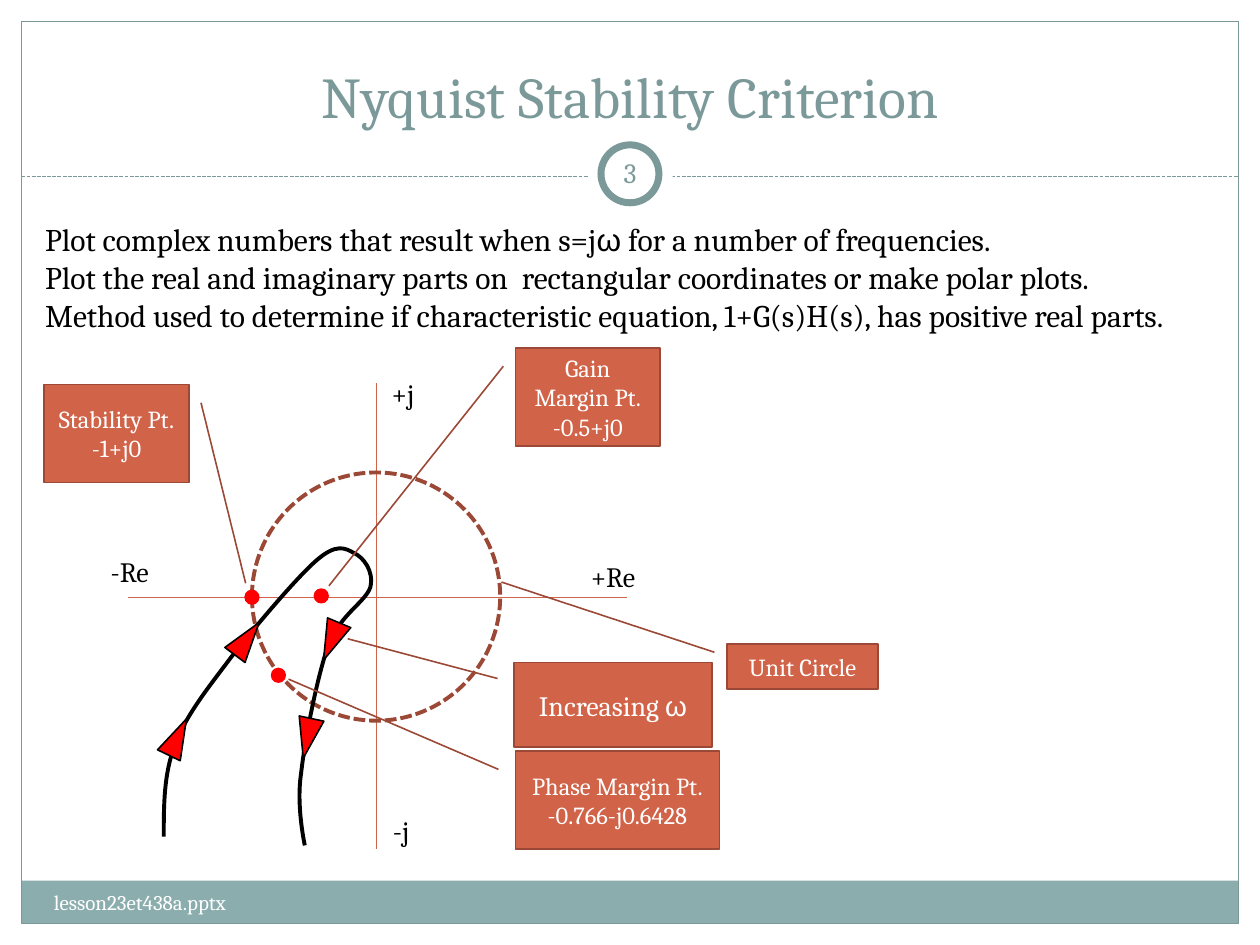
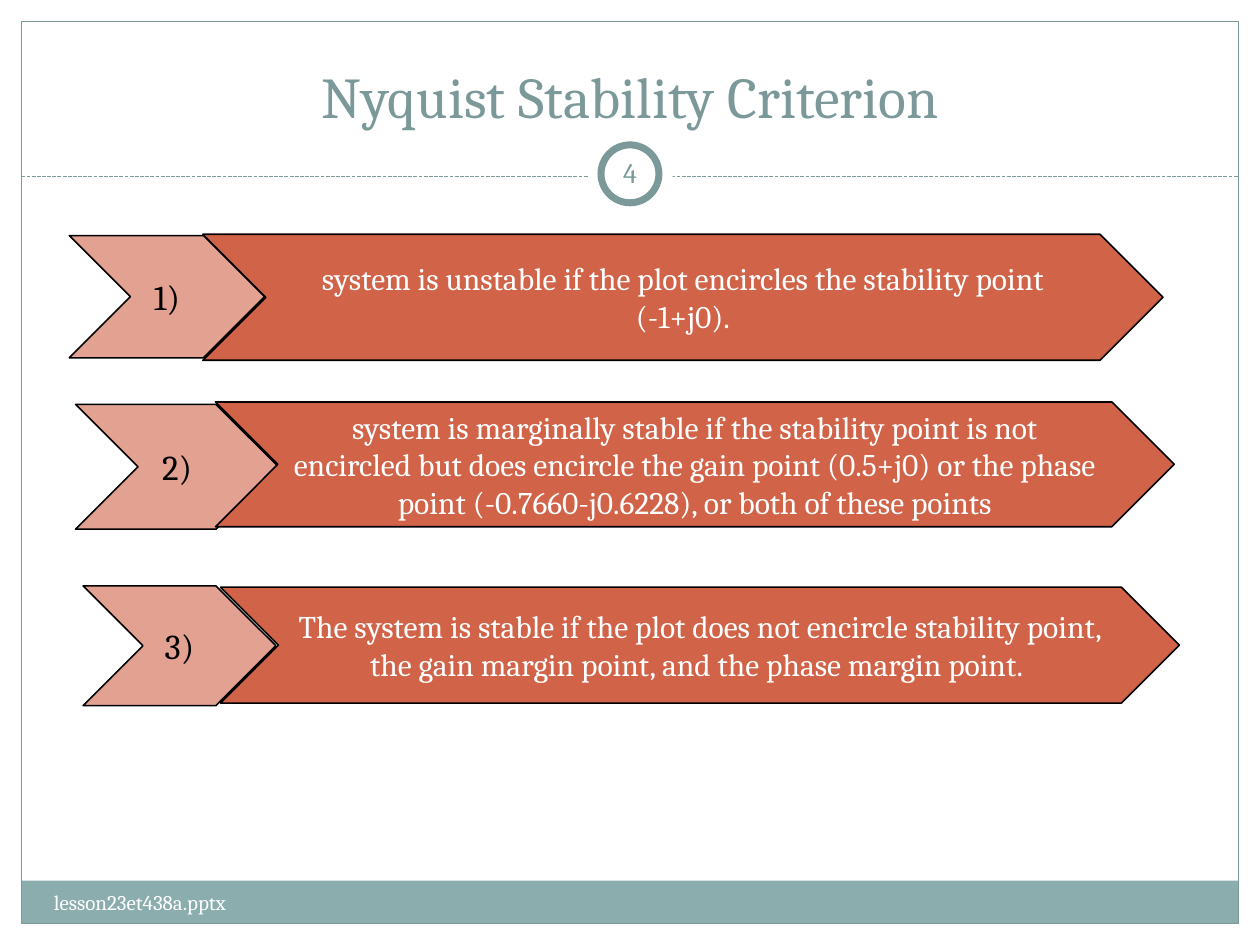
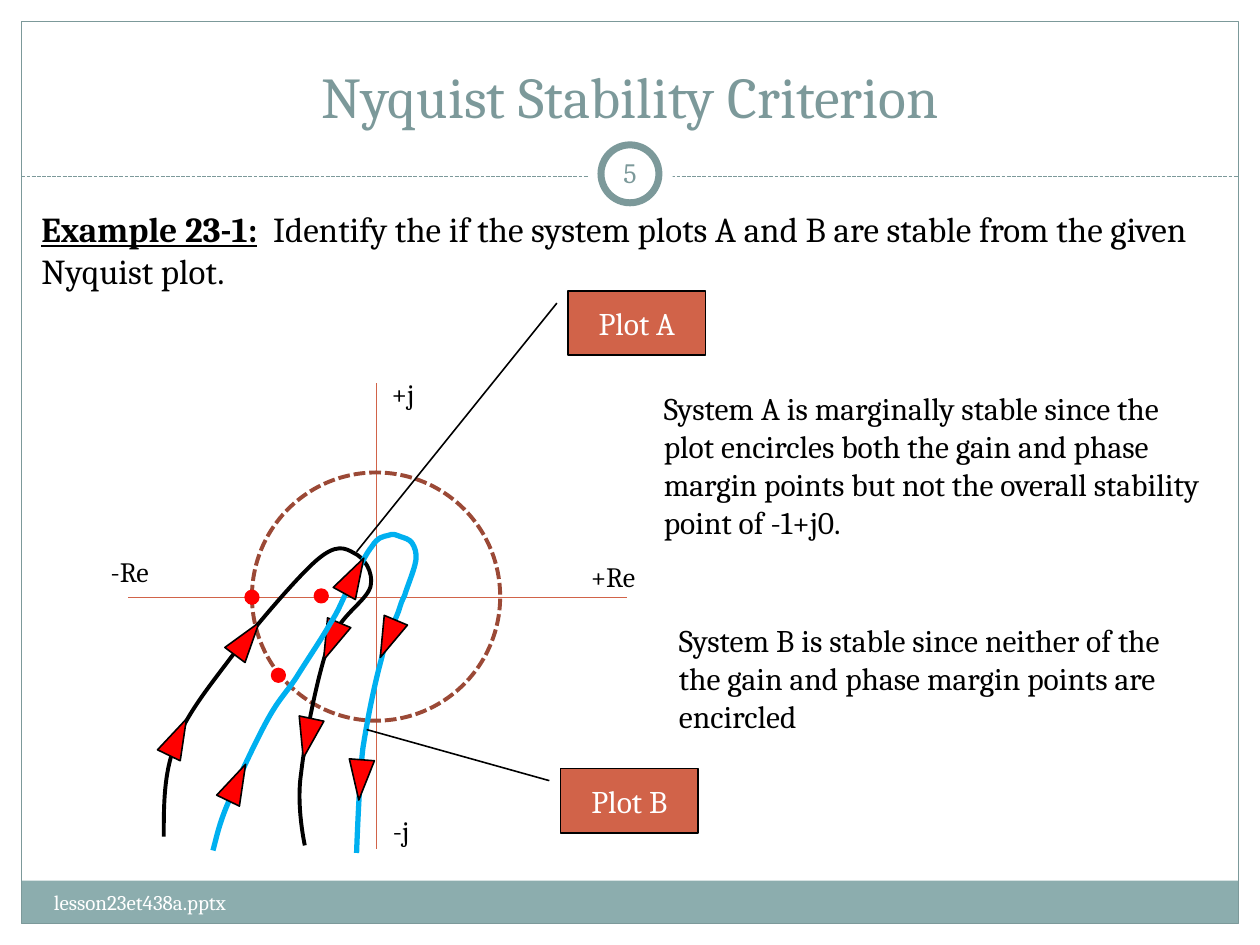
from dataclasses import dataclass

from lxml import etree
from pptx import Presentation
from pptx import util as u
from pptx.dml.color import RGBColor
from pptx.enum import dml, shapes, text
from pptx.oxml.ns import qn

PX = 9144  # 100 px to the inch
KIND = shapes.MSO_SHAPE
ALIGN = text.PP_ALIGN
ANCHOR = text.MSO_ANCHOR
DASH = dml.MSO_LINE.SQUARE_DOT


@dataclass(frozen=True)
class Theme:
    font: str = "Cambria"
    greek: str = "Arial"
    white: str = "FFFFFF"
    black: str = "000000"
    teal: str = "7C999A"
    band: str = "8CADAE"
    rust: str = "D16349"
    pale_rust: str = "E3A192"
    dark_rust: str = "9B4936"
    red: str = "FF0000"
    blue: str = "00B0F0"
    title: int = 33
    lead: int = 20
    body: int = 18
    label: int = 16
    note: int = 14
    footer: int = 12


T = Theme()


def draw(on, kind, box, fill=None, line=None, width=0.9, dash=None):
    """Add a preset shape, "text", "line" (two ends) or "curve" (Bezier points)."""
    if kind == "curve":
        outline = on.build_freeform(*box[0], scale=PX)
        outline.add_line_segments(box[1:], close=False)
        shape = outline.convert_to_shape()
        segments = shape.element.xpath(".//a:lnTo")
        for i in range(0, len(segments), 3):
            bend = etree.Element(qn("a:cubicBezTo"))
            segments[i].addprevious(bend)
            for segment in segments[i:i + 3]:
                bend.append(segment[0])
                segment.getparent().remove(segment)
    else:
        box = [v * PX for v in box]
        if kind == "text":
            return on.add_textbox(*box)
        if kind == "line":
            shape = on.add_connector(shapes.MSO_CONNECTOR.STRAIGHT, *box)
        else:
            shape = on.add_shape(kind, *box)
    if line:
        shape.line.color.rgb = RGBColor.from_string(line)
        shape.line.width = u.Pt(width)
        if dash:
            shape.line.dash_style = dash
    else:
        shape.line.fill.background()
    if kind == "line":
        etree.SubElement(shape.element.spPr, qn("a:effectLst"))
        return shape
    shape.shadow.inherit = False
    if fill:
        shape.fill.solid()
        shape.fill.fore_color.rgb = RGBColor.from_string(fill)
    else:
        shape.fill.background()
    return shape


def write(shape, paragraphs, size, color, align=ALIGN.LEFT, **frame_format):
    """Fill a shape; a paragraph is a string or a list of (text, font format) runs."""
    frame = shape.text_frame
    for name, value in {"word_wrap": True, **frame_format}.items():
        setattr(frame, name, value)
    for i, runs in enumerate(paragraphs):
        paragraph = frame.add_paragraph() if i else frame.paragraphs[0]
        paragraph.alignment = align
        for words, extra in [(runs, {})] if isinstance(runs, str) else runs:
            run = paragraph.add_run()
            run.text = words
            run.font.color.rgb = RGBColor.from_string(color)
            for name, value in {"name": T.font, "size": u.Pt(size), **extra}.items():
                setattr(run.font, name, value)


OMEGA = ("ω", {"name": T.greek})
CENTRED = {"align": ALIGN.CENTER, "vertical_anchor": ANCHOR.MIDDLE}
GROW = {"auto_size": text.MSO_AUTO_SIZE.SHAPE_TO_FIT_TEXT}

prs = Presentation()
prs.slide_width, prs.slide_height = 1000 * PX, 750 * PX
layout = prs.slide_layouts[5]
criterion, rules, example = lesson = [prs.slides.add_slide(layout) for _ in range(3)]

# Shared backdrop, drawn once and moved to the layout
backdrop = [
    (KIND.RECTANGLE, (0, 0, 1000, 152), {"fill": T.white}),
    (KIND.RECTANGLE, (0, 0, 17, 750), {"fill": T.white}),
    (KIND.RECTANGLE, (983, 0, 17, 750), {"fill": T.white}),
    (KIND.RECTANGLE, (17, 699, 966, 34), {"fill": T.band}),
    (KIND.RECTANGLE, (17, 17, 966, 716), {"line": T.teal, "width": 0.75}),
    ("line", (17, 140, 983, 140), {"line": T.teal, "width": 0.75, "dash": DASH}),
    (KIND.OVAL, (467, 105, 67, 67), {"fill": T.white}),
    (KIND.OVAL, (477, 115, 46, 46), {"fill": T.white, "line": T.teal, "width": 4}),
]
for part_id, (kind, box, look) in enumerate(backdrop, 100):
    part = draw(criterion.shapes, kind, box, **look).element
    part.xpath(".//p:cNvPr")[0].set("id", str(part_id))
    layout.shapes.element.append(part)

for page, slide in enumerate(lesson, 3):
    heading = slide.shapes.title
    for name, value in zip(("left", "top", "width", "height"), (33, 25, 934, 83)):
        setattr(heading, name, value * PX)
    write(heading, ["Nyquist Stability Criterion"], T.title, T.teal, ALIGN.CENTER,
          vertical_anchor=ANCHOR.BOTTOM)
    write(draw(slide.shapes, "text", (33, 701, 392, 40)), ["lesson23et438a.pptx"],
          T.footer, T.white)
    margins = {f"margin_{side}": 5 * PX for side in ("left", "top", "right", "bottom")}
    write(draw(slide.shapes, "text", (475, 113, 50, 48)), [str(page)],
          T.label, T.teal, **CENTRED, **margins)

# Introductions
write(draw(criterion.shapes, "text", (26, 170, 935, 131)), [
    [("Plot complex numbers that result when s=j", {}), OMEGA,
     (" for a number of frequencies.", {})],
    "Plot the real and imaginary parts on  rectangular coordinates or make polar plots.",
    "Method used to determine if characteristic equation, 1+G(s)H(s), has positive real parts.",
], T.body, T.black, **GROW)
write(draw(example.shapes, "text", (23, 160, 953, 77)), [[
    ("Example 23-1:", {"bold": True, "underline": True}),
    ("  ", {"bold": True}),
    ("Identify the if the system plots A and B are stable from the given Nyquist plot.", {}),
]], T.lead, T.black, **GROW)

# Nyquist plots: curve points, then the arrows along them (left, top, rotation)
plot_a = [(130, 664), (130, 639), (130, 614), (139, 591), (148, 567), (166, 545), (184, 521),
          (203, 497), (235, 459), (251, 445), (267, 431), (274, 435), (281, 439),
          (288, 442), (297, 453), (294, 466), (290, 478), (271, 487), (261, 511),
          (252, 536), (242, 587), (239, 614), (235, 640), (242, 671), (242, 671)]
plot_b = [(169, 675), (172, 664), (174, 653), (182, 635), (189, 618), (204, 586), (213, 570),
          (222, 554), (227, 550), (235, 538), (243, 525), (256, 506), (262, 495),
          (269, 484), (270, 480), (275, 470), (281, 460), (289, 441), (295, 434),
          (300, 426), (304, 426), (308, 425), (312, 423), (315, 425), (318, 426),
          (321, 427), (325, 428), (327, 431), (329, 434), (331, 439), (330, 445),
          (329, 452), (323, 466), (321, 473), (318, 479), (319, 477), (316, 486),
          (313, 494), (307, 504), (303, 522), (298, 540), (292, 568), (288, 594),
          (285, 619), (283, 677), (283, 677)]
arrows_a = [(131, 569, 25.8), (234, 570, 191.9), (186, 491, 36.7), (253, 493, 202.7)]
arrows_b = [(178, 605, 25.8), (271, 441, 28.8), (298, 491, 202.7), (276, 603, 184.4)]
curve_a = (plot_a, T.black, 2.25, arrows_a)
curve_b = (plot_b, T.blue, 3, arrows_b)

axes = [(102, 474, 498, 474), (299, 304, 299, 674)]
axis_labels = [("+j", (301, 294, 41, 37)), ("-j", (302, 641, 35, 37)),
               ("+Re", (459, 439, 61, 37)), ("-Re", (78, 435, 55, 37))]
margin_points = [(195, 469), (250, 468), (216, 531)]

for slide, curves in ((criterion, [curve_a]), (example, [curve_a, curve_b])):
    plane = slide.shapes.add_group_shape().shapes
    for ends in axes:
        draw(plane, "line", ends, line=T.rust, width=0.75)
    for label, box in axis_labels:
        write(draw(plane, "text", box), [label], T.label, T.black, word_wrap=False, **GROW)
    draw(slide.shapes, KIND.OVAL, (200, 375, 197, 197), line=T.dark_rust, width=2.25, dash=DASH)
    for left, top in margin_points:
        draw(slide.shapes, KIND.OVAL, (left, top, 10, 10), fill=T.red, line=T.red, width=1.5)
    for points, color, width, arrows in curves:
        draw(slide.shapes, "curve", points, line=color, width=width)
        for left, top, turn in arrows:
            arrow = draw(slide.shapes, KIND.ISOSCELES_TRIANGLE, (left, top, 20, 32),
                         fill=T.red, line=T.black)
            arrow.rotation = turn

# Callouts: box, the point the leader reaches, words
callouts = [
    (criterion, T.dark_rust, T.note, (35, 305, 115, 78), (195, 463), ["Stability Pt.", "-1+j0"]),
    (criterion, T.dark_rust, T.note, (409, 276, 115, 78), (261, 465),
     ["Gain Margin Pt.", "-0.5+j0"]),
    (criterion, T.dark_rust, T.note, (409, 596, 162, 78), (229, 539),
     ["Phase Margin Pt.", "-0.766-j0.6428"]),
    (criterion, T.dark_rust, T.note, (577, 511, 120, 36), (398, 462), ["Unit Circle"]),
    (criterion, T.dark_rust, T.label, (408, 526, 157, 67), (276, 507),
     [[("Increasing ", {}), OMEGA]]),
    (example, T.black, T.body, (451, 231, 109, 51), (283, 438), ["Plot A"]),
    (example, T.black, T.body, (445, 610, 109, 51), (291, 579), ["Plot B"]),
]
for slide, border, size, box, (x, y), words in callouts:
    left, top, width, height = box
    callout = draw(slide.shapes, KIND.LINE_CALLOUT_1, box, fill=T.rust, line=border)
    leader_start = 1.083 if x > left else -0.083
    leader = (0.188, leader_start, (y - top) / height, (x - left) / width)
    for i, value in enumerate(leader):
        callout.adjustments[i] = value
    write(callout, words, size, T.white, **CENTRED)

# Stability rules
verdicts = [
    ((55, 187, 155, 97), (161, 186, 762, 100),
     "system is unstable if the plot encircles the stability point (-1+j0)."),
    ((60, 321, 161, 99), (171, 319, 761, 99),
     "system is marginally stable if the stability point is not encircled but does encircle "
     "the gain point (0.5+j0) or the phase point (-0.7660-j0.6228), or both of these points"),
    ((66, 465, 153, 95), (175, 466, 761, 92),
     "The system is stable if the plot does not encircle stability point, "
     "the gain margin point, and the phase margin point. "),
]
for number, (number_box, verdict_box, verdict) in enumerate(verdicts, 1):
    for box, fill, words, size, color in (
            (number_box, T.pale_rust, f"{number})", T.lead, T.black),
            (verdict_box, T.rust, verdict, T.body, T.white)):
        chevron = draw(rules.shapes, KIND.CHEVRON, box, fill=fill, line=T.black)
        write(chevron, [words], size, color, **CENTRED)

# Answers to the example
answers = [
    ((517, 304, 461, 131), [
        "System A is marginally stable since the",
        "plot encircles both the gain and phase margin points but not the overall stability "
        "point of -1+j0."]),
    ((529, 488, 461, 101), [
        "System B is stable since neither of the",
        "the gain and phase margin points are encircled"]),
]
for box, answer in answers:
    write(draw(example.shapes, "text", box), answer, T.body, T.black, **GROW)

prs.save("out.pptx")
